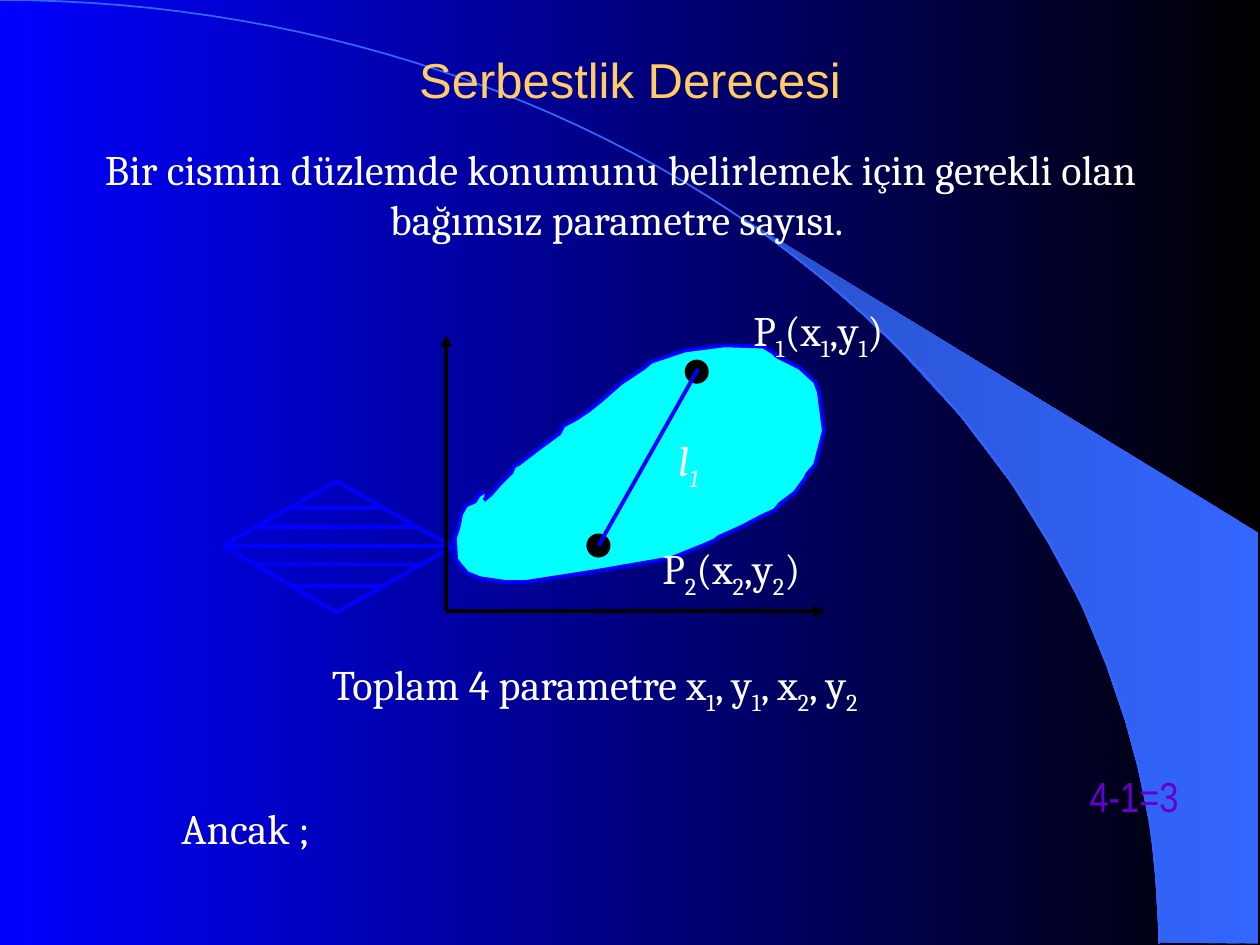
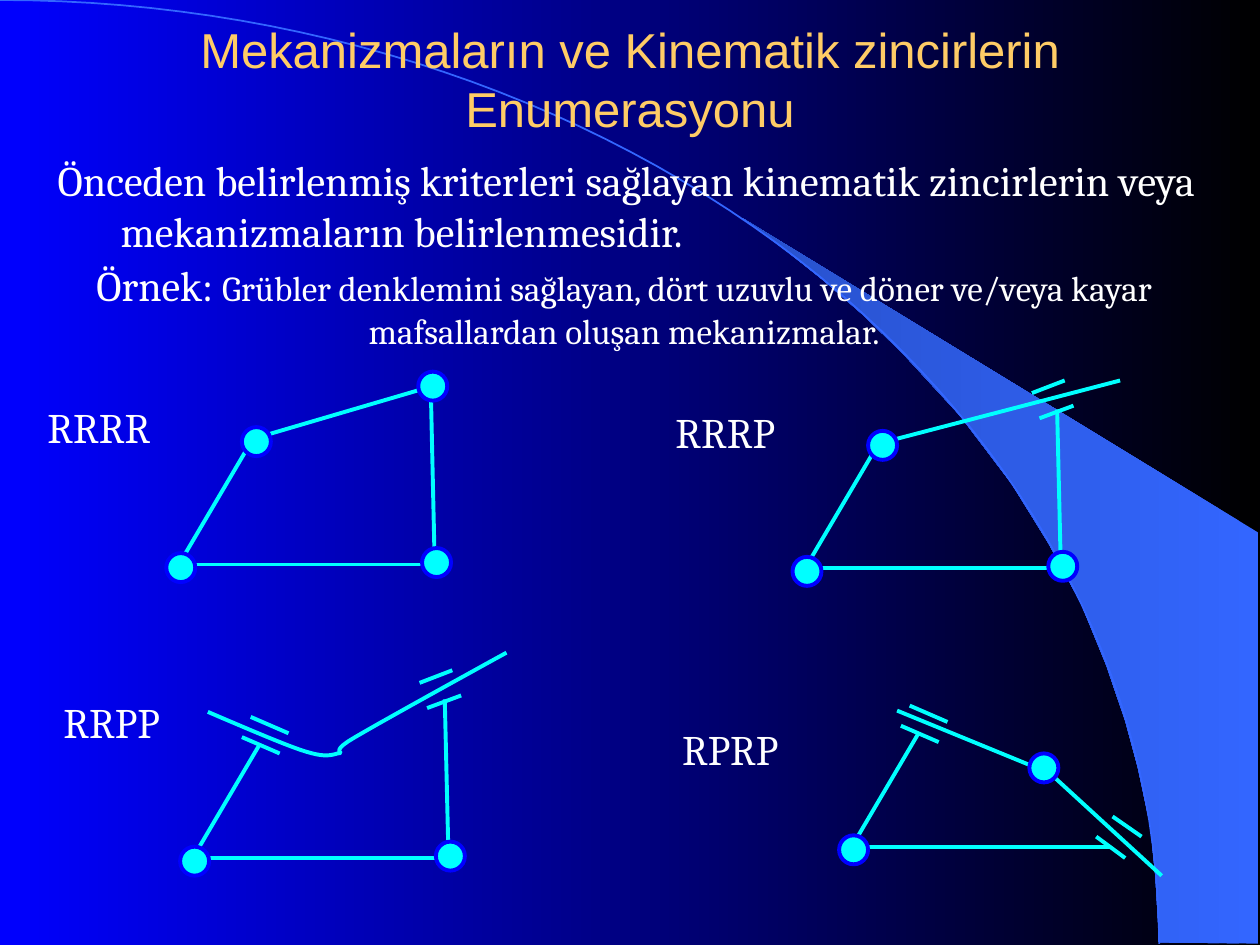
from math import cos, pi, sin

from lxml.etree import SubElement
from pptx import Presentation
from pptx.dml.color import RGBColor
from pptx.enum.shapes import MSO_CONNECTOR, MSO_SHAPE
from pptx.enum.text import MSO_ANCHOR, PP_ALIGN
from pptx.oxml.ns import qn
from pptx.util import Inches, Pt

COLORS = {
    "night": "000000", "blue": "0000FF", "sky": "3366FF", "sky_dark": "2851CB",
    "title": "FFCC66", "text": "FFFFFF", "cyan": "00FFFF", "violet": "6600CC",
}
RGB = {name: RGBColor.from_string(value) for name, value in COLORS.items()}

prs = Presentation()
prs.slide_width, prs.slide_height = Inches(10), Inches(7.5)
UNIT = prs.slide_width // 10  # grid of 10 columns by 7.5 rows


def draw(slide, figure, points, edge=None, fill=None, weight=2.25, closed=False):
    """Draw a link (x1, y1, x2, y2), a joint (x, y, size) or an outline of points."""
    if figure == "link":
        part = slide.shapes.add_connector(
            MSO_CONNECTOR.STRAIGHT, *[round(v * UNIT) for v in points])
    elif figure == "joint":
        x, y, size = [round(v * UNIT) for v in points]
        part = slide.shapes.add_shape(MSO_SHAPE.OVAL, x, y, size, size)
    else:
        corners = [(round(x * UNIT), round(y * UNIT)) for x, y in points]
        pen = slide.shapes.build_freeform(*corners[0])
        pen.add_line_segments(corners[1:], close=closed)
        part = pen.convert_to_shape()
    if isinstance(fill, tuple):
        part.fill.gradient()
        part.fill.gradient_angle = 180
        for stop, shade in zip(part.fill.gradient_stops, fill):
            stop.color.rgb = RGB[shade]
    elif fill:
        part.fill.solid()
        part.fill.fore_color.rgb = RGB[fill]
    elif figure != "link":
        part.fill.background()
    if edge:
        part.line.color.rgb = RGB[edge]
        part.line.width = Pt(weight)
    else:
        part.line.fill.background()
    SubElement(part._element.spPr, qn("a:effectLst"))
    return part


def write(slide, area, text, color="text", font="Cambria", size=24,
          align=PP_ALIGN.CENTER, anchor=MSO_ANCHOR.TOP, wrap=False):
    """Write one paragraph; the character after each underscore is a subscript."""
    frame = slide.shapes.add_textbox(*[round(v * UNIT) for v in area]).text_frame
    frame.word_wrap, frame.vertical_anchor = wrap, anchor
    paragraph = frame.paragraphs[0]
    paragraph.alignment = align
    first, *rest = text.split("_")
    paragraph.add_run().text = first
    for piece in rest:
        index = paragraph.add_run()
        index.text = piece[0]
        index.font._element.set("baseline", "-25000")
        if piece[1:]:
            paragraph.add_run().text = piece[1:]
    paragraph.font.name, paragraph.font.size = font, Pt(size)
    paragraph.font.color.rgb = RGB[color]
    return paragraph


# Shared background, beam, arc and title
backdrop = prs.slide_master.background.fill
backdrop.gradient()
backdrop.gradient_angle = 180
for stop, shade in zip(backdrop.gradient_stops, ("night", "blue")):
    stop.color.rgb = RGB[shade]

BEAM = [(9.2, 7.48), (9.99, 7.49), (9.99, 4.23), (5.89, 1.73), (6.24, 1.99),
        (6.53, 2.22), (6.85, 2.5), (7.16, 2.8), (7.62, 3.3), (8.03, 3.84),
        (8.32, 4.31), (8.58, 4.79), (8.78, 5.28), (8.93, 5.72), (9.03, 6.09),
        (9.13, 6.56), (9.17, 6.96)]
STEPS = 60
ARC = [(9.2 * sin(pi / 2 * i / STEPS), 7.49 * (1 - cos(pi / 2 * i / STEPS)))
       for i in range(STEPS + 1)]

slides = []
for heading in ("Serbestlik Derecesi",
                "Mekanizmaların ve Kinematik zincirlerin Enumerasyonu"):
    slide = prs.slides.add_slide(prs.slide_layouts[6])
    draw(slide, "outline", BEAM, fill=("sky", "sky_dark"), closed=True)
    draw(slide, "outline", ARC, "sky", weight=1)
    write(slide, (0.75, 0, 8.5, 1.25), heading, "title", "Arial", 28,
          anchor=MSO_ANCHOR.MIDDLE, wrap=True)
    slides.append(slide)
freedom, enumeration = slides

# Slide 1: hatched diamond
left, top, right, bottom = (1.77, 4.33), (2.67, 3.82), (3.59, 4.34), (2.67, 4.86)
for start, end in ((left, bottom), (bottom, right), (right, top), (left, top)):
    draw(freedom, "link", start + end, "blue")
for x1, x2, y in ((2.33, 3.03, 4.03), (2.04, 3.29, 4.18), (1.81, 3.57, 4.33),
                  (2.03, 3.36, 4.48), (2.32, 3.04, 4.65)):
    draw(freedom, "link", (x1, y, x2, y), "blue")

write(freedom, (0.38, 1.09, 9.09, 0.9),
      "Bir cismin düzlemde konumunu belirlemek için gerekli olan "
      "bağımsız parametre sayısı. ", wrap=True)

# Slide 1: coordinate axes
for tip in ((3.54, 2.66), (6.55, 4.85)):
    axis = draw(freedom, "link", (3.54, 4.85) + tip, "night")
    SubElement(axis.line._get_or_add_ln(), qn("a:tailEnd"), type="triangle")

# Slide 1: rigid body with two points
BODY = [(3.84, 3.97), (3.9, 3.92), (3.96, 3.85), (4.06, 3.75), (4.08, 3.7),
        (4.12, 3.68), (4.29, 3.55), (4.44, 3.44), (4.47, 3.38), (4.58, 3.32),
        (4.67, 3.26), (4.77, 3.18), (4.93, 3.04), (5.11, 2.92), (5.17, 2.87),
        (5.44, 2.78), (5.75, 2.74), (6.06, 2.75), (6.14, 2.8), (6.17, 2.83),
        (6.35, 2.92), (6.47, 3.03), (6.5, 3.11), (6.54, 3.42), (6.47, 3.69),
        (6.41, 3.76), (6.39, 3.8), (6.31, 3.91), (6.19, 4), (6.15, 4.05),
        (6.04, 4.1), (5.89, 4.18), (5.71, 4.26), (5.67, 4.29), (5.58, 4.33),
        (5.33, 4.43), (4.75, 4.53), (4.17, 4.62), (4.02, 4.62), (3.81, 4.59),
        (3.71, 4.55), (3.65, 4.48), (3.62, 4.44), (3.61, 4.27), (3.64, 4.18),
        (3.66, 4.08), (3.7, 4.01), (3.77, 3.98), (3.8, 3.93), (3.85, 3.9)]
draw(freedom, "outline", BODY, "blue", "cyan")
for x, y in ((5.45, 2.87), (4.67, 4.25)):
    draw(freedom, "joint", (x, y, 0.16), "night", "night")
draw(freedom, "link", (4.75, 4.33, 5.54, 2.93), "blue")

# Slide 1: labels
write(freedom, (5.84, 2.37, 1.31, 0.56), "P_1(x_1,y_1)")
write(freedom, (5.15, 4.26, 1.31, 0.56), "P_2(x_2,y_2)")
write(freedom, (5.27, 3.4, 0.39, 0.56), "l_1").font.italic = True
write(freedom, (2.45, 5.18, 4.54, 0.56), "Toplam 4 parametre x_1, y_1, x_2, y_2")
write(freedom, (1.32, 6.32, 1.33, 0.5), "Ancak ; ")
write(freedom, (8.39, 5.61, 1.22, 1.41), "4-1=3", "violet", "Arial Narrow",
      anchor=MSO_ANCHOR.MIDDLE)

# Slide 2: definition and example
definition = write(
    enumeration, (0.36, 1.18, 9.39, 0.9),
    "Önceden belirlenmiş kriterleri sağlayan kinematik zincirlerin veya "
    "mekanizmaların belirlenmesidir.", align=PP_ALIGN.LEFT, wrap=True)
hanging = definition._p.get_or_add_pPr()
hanging.set("marL", str(Inches(0.5)))
hanging.set("indent", str(-Inches(0.5)))
example = write(enumeration, (0.2, 2.01, 9.51, 0.84), "Örnek: ", wrap=True)
detail = example.add_run()
detail.text = ("Grübler denklemini sağlayan, dört uzuvlu ve döner ve/veya kayar "
               "mafsallardan oluşan mekanizmalar.")
detail.font.size = Pt(20)

# Slide 2: mechanism parts, measured from the left ground joint
CRANK = (0.63, -0.81, 0.1, 0.09)
GROUND = (0.16, 0.09, 2.16, 0.09)
ROCKER = (2.1, -1.17, 2.13, 0.1)
LEFT_SLIDER = [(0.49, -0.87, 0.79, -0.74), (0.56, -1.03, 0.86, -0.9)]
RIGHT_SLIDER = [(2.23, -1.2, 1.96, -1.1), (2.16, -1.4, 1.9, -1.3)]
LOW_SLIDER = [(2.17, -0.15, 2.4, 0.01), (2.04, 0.01, 2.27, 0.18)]
LEFT_JOINT, CRANK_JOINT, RIGHT_JOINT = (0, 0), (0.6, -1), (2.03, -0.04)

# Name, label area, origin, links, joints
MECHANISMS = [
    ("RRRR", (0.24, 3.14, 1.09, 0.5), (1.32, 4.39),
     [(0.8, -0.94, 2.06, -1.31), (2.1, -1.27, 2.13, 0.09)],
     [LEFT_JOINT, CRANK_JOINT, (2, -1.44), RIGHT_JOINT]),
    ("RRRP", (5.23, 3.18, 1.05, 0.5), (6.29, 4.42),
     [(0.8, -0.93, 2.6, -1.4), ROCKER, *RIGHT_SLIDER],
     [LEFT_JOINT, CRANK_JOINT, RIGHT_JOINT]),
    ("RRPP", (0.38, 5.48, 1.01, 0.5), (1.43, 6.72),
     [ROCKER, *RIGHT_SLIDER, *LEFT_SLIDER],
     [LEFT_JOINT, RIGHT_JOINT]),
    ("RPRP", (5.29, 5.69, 1.01, 0.5), (6.66, 6.63),
     [(0.46, -0.99, 1.63, -0.51), *LEFT_SLIDER, *LOW_SLIDER,
      (1.72, -0.45, 2.56, 0.32)],
     [LEFT_JOINT, (1.51, -0.65)]),
]
for name, area, (x, y), links, joints in MECHANISMS:
    write(enumeration, area, name)
    for x1, y1, x2, y2 in [CRANK, GROUND, *links]:
        draw(enumeration, "link", (x + x1, y + y1, x + x2, y + y2), "cyan")
    for dx, dy in joints:
        draw(enumeration, "joint", (x + dx, y + dy, 0.23), "blue", "cyan")

# Slide 2: bent coupler of RRPP, a chain of cubic curves
BENDS = [(1.65, 5.65), (1.93, 5.77), (2.21, 5.89), (2.38, 5.95), (2.56, 6.01),
         (2.61, 6), (2.68, 5.98), (2.76, 5.97), (2.59, 5.98), (2.82, 5.85),
         (3.04, 5.72), (3.82, 5.29), (4.02, 5.18)]
coupler = BENDS[:1]
for first in range(0, len(BENDS) - 1, 3):
    for t in [step / 10 for step in range(1, 11)]:
        weights = ((1 - t) ** 3, 3 * t * (1 - t) ** 2, 3 * t ** 2 * (1 - t), t ** 3)
        coupler.append(tuple(
            sum(w * point[axis] for w, point in zip(weights, BENDS[first:first + 4]))
            for axis in (0, 1)))
draw(enumeration, "outline", coupler, "cyan")

prs.save("out.pptx")
